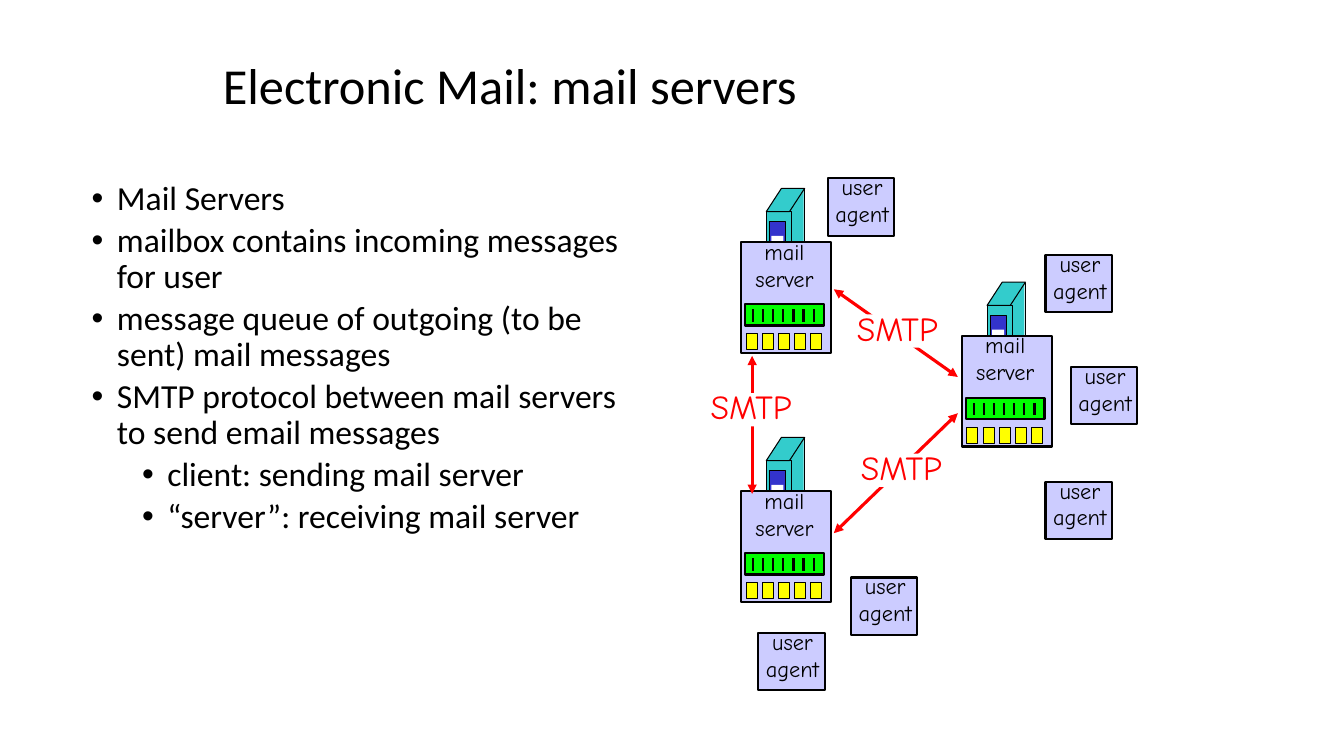
from dataclasses import dataclass

from lxml.etree import SubElement
from pptx import Presentation
from pptx.dml.color import RGBColor
from pptx.enum.shapes import MSO_CONNECTOR, MSO_SHAPE
from pptx.enum.text import MSO_ANCHOR, MSO_AUTO_SIZE, PP_ALIGN
from pptx.oxml.ns import qn
from pptx.util import Inches, Pt


@dataclass(frozen=True)
class Theme:
    text_font: str = "Calibri"
    diagram_font: str = "Comic Neue"
    title_size: int = 36
    body_size: int = 24
    protocol_size: int = 24
    caption_size: int = 16
    thin: float = 0.75
    medium: float = 1.5
    thick: float = 2.25
    black: str = "000000"
    white: str = "FFFFFF"
    red: str = "FF0000"
    box: str = "CCCCFF"
    tower: str = "33CCCC"
    door: str = "3333CC"
    queue: str = "00FF00"
    mailbox: str = "FFFF00"


TITLE = "Electronic Mail: mail servers"
BULLETS = [
    (0, "Mail Servers"),
    (0, "mailbox contains incoming messages for user"),
    (0, "message queue of outgoing (to be sent) mail messages"),
    (0, "SMTP protocol between mail servers to send email messages"),
    (1, "client: sending mail server"),
    (1, "“server”: receiving mail server"),
]
SERVERS = [(9.54, 3.33), (7.35, 4.87), (7.35, 2.4)]
USER_AGENTS = [(10.37, 2.53), (10.62, 3.64), (10.37, 4.78),
               (8.44, 5.73), (7.52, 6.28), (8.21, 1.77)]
SMTP_ARROWS = [((8.27, 2.87), (9.5, 3.74)),
               ((8.27, 5.29), (9.5, 4.1)),
               ((7.46, 4.9), (7.46, 3.53))]
SMTP_LABELS = [(8.47, 4.5), (8.43, 3.12), (6.98, 3.9)]


class SlideBuilder:
    def __init__(self, slide, theme):
        self.slide = slide
        self.theme = theme
        self.shapes = slide.shapes

    def start_group(self):
        """Send the following elements to a new group."""
        self.shapes = self.slide.shapes.add_group_shape().shapes

    def end_group(self):
        self.shapes = self.slide.shapes

    def add_run(self, paragraph, text, font, size, color):
        run = paragraph.add_run()
        run.text = text
        run.font.name = font
        run.font.size = Pt(size)
        run.font.color.rgb = RGBColor.from_string(color)

    def place(self, shape, left, top, width, height):
        shape.left, shape.top = Inches(left), Inches(top)
        shape.width, shape.height = Inches(width), Inches(height)

    def title(self, text):
        theme = self.theme
        title = self.slide.shapes.title
        self.place(title, 2.11, 0.25, 8.5, 1.25)
        title.text_frame.vertical_anchor = MSO_ANCHOR.MIDDLE
        paragraph = title.text_frame.paragraphs[0]
        paragraph.alignment = PP_ALIGN.LEFT
        paragraph.line_spacing = 0.9
        self.add_run(paragraph, text, theme.text_font, theme.title_size, theme.black)

    def bullets(self, items):
        theme = self.theme
        body = self.slide.placeholders[1]
        self.place(body, 0.81, 1.75, 5.74, 5.08)
        frame = body.text_frame
        frame.auto_size = MSO_AUTO_SIZE.NONE
        for index, (level, text) in enumerate(items):
            paragraph = frame.add_paragraph() if index else frame.paragraphs[0]
            paragraph.level = level
            properties = paragraph._p.get_or_add_pPr()
            properties.set("marL", str(Inches(0.25 + 0.5 * level)))
            properties.set("indent", str(Inches(-0.25)))
            SubElement(properties, qn("a:buFont"), typeface="Arial")
            SubElement(properties, qn("a:buChar"), char="•")
            paragraph.line_spacing = 0.9
            paragraph.space_before = Pt(4 if index else 0)
            self.add_run(paragraph, text, theme.text_font, theme.body_size, theme.black)

    def paint(self, shape, fill, line_width):
        shape.shadow.inherit = False
        shape.fill.solid()
        shape.fill.fore_color.rgb = RGBColor.from_string(fill)
        if line_width:
            shape.line.color.rgb = RGBColor.from_string(self.theme.black)
            shape.line.width = Pt(line_width)
        else:
            shape.line.fill.background()

    def rectangle(self, left, top, width, height, fill, line_width=0):
        shape = self.shapes.add_shape(MSO_SHAPE.RECTANGLE, Inches(left), Inches(top),
                                      Inches(width), Inches(height))
        self.paint(shape, fill, line_width)

    def polygon(self, points, fill, line_width):
        corners = [(Inches(x), Inches(y)) for x, y in points]
        builder = self.shapes.build_freeform(*corners[0])
        builder.add_line_segments(corners[1:], close=True)
        self.paint(builder.convert_to_shape(), fill, line_width)

    def line(self, start, end, color, width, arrowheads=False):
        connector = self.shapes.add_connector(
            MSO_CONNECTOR.STRAIGHT, *(Inches(value) for value in (*start, *end)))
        connector.line.color.rgb = RGBColor.from_string(color)
        connector.line.width = Pt(width)
        properties = connector.element.spPr
        if arrowheads:
            outline = properties.find(qn("a:ln"))
            for tag in ("a:headEnd", "a:tailEnd"):
                SubElement(outline, qn(tag), type="triangle")
        SubElement(properties, qn("a:effectLst"))

    def caption(self, left, top, width, height, lines, size, color):
        """Add centred diagram text without margins, one paragraph a line."""
        frame = self.shapes.add_textbox(Inches(left), Inches(top),
                                        Inches(width), Inches(height)).text_frame
        frame.margin_left = frame.margin_right = 0
        frame.margin_top = frame.margin_bottom = 0
        frame.word_wrap = False
        frame.auto_size = MSO_AUTO_SIZE.SHAPE_TO_FIT_TEXT
        for index, text in enumerate(lines):
            paragraph = frame.add_paragraph() if index else frame.paragraphs[0]
            paragraph.alignment = PP_ALIGN.CENTER
            self.add_run(paragraph, text, self.theme.diagram_font, size, color)

    def mail_server(self, x, y):
        """Draw a tower behind a box whose top left corner is (x, y)."""
        theme = self.theme
        self.start_group()
        self.rectangle(x + 0.44, y - 0.53, 0.18, 0.78, theme.tower)
        self.rectangle(x + 0.25, y - 0.3, 0.25, 0.78, theme.tower, theme.thin)
        self.polygon([(x + 0.4, y - 0.53), (x + 0.25, y - 0.3),
                      (x + 0.48, y - 0.3), (x + 0.63, y - 0.53)], theme.tower, theme.thin)
        self.line((x + 0.63, y - 0.52), (x + 0.63, y + 0.25), theme.black, theme.thin)
        self.rectangle(x + 0.28, y - 0.2, 0.16, 0.45, theme.door, theme.thin)
        self.rectangle(x + 0.3, y - 0.06, 0.12, 0.16, theme.white)
        self.rectangle(x, y, 0.89, 1.1, theme.box, theme.medium)
        self.caption(x + 0.09, y - 0.04, 0.68, 0.54, ["mail", "server"],
                     theme.caption_size, theme.black)
        self.rectangle(x + 0.04, y + 0.62, 0.78, 0.21, theme.queue, theme.medium)
        for slot in range(7):
            slot_x = x + 0.12 + 0.1 * slot
            self.line((slot_x, y + 0.67), (slot_x, y + 0.79), theme.black, theme.medium)
        for mailbox in range(5):
            self.rectangle(x + 0.05 + 0.16 * mailbox, y + 0.91, 0.11, 0.16,
                           theme.mailbox, theme.thin)
        self.end_group()

    def user_agent(self, x, y):
        theme = self.theme
        self.start_group()
        self.rectangle(x, y, 0.66, 0.57, theme.box, theme.medium)
        self.caption(x + 0.05, y - 0.05, 0.58, 0.54, ["user", "agent"],
                     theme.caption_size, theme.black)
        self.end_group()

    def smtp_label(self, x, y):
        theme = self.theme
        self.start_group()
        self.rectangle(x, y, 0.94, 0.33, theme.white)
        self.caption(x, y - 0.07, 0.94, 0.4, ["SMTP"], theme.protocol_size, theme.red)
        self.end_group()


def main():
    presentation = Presentation()
    presentation.slide_width, presentation.slide_height = Inches(13.33), Inches(7.5)
    theme = Theme()
    builder = SlideBuilder(presentation.slides.add_slide(presentation.slide_layouts[1]), theme)
    builder.title(TITLE)
    builder.bullets(BULLETS)
    for corner in SERVERS:
        builder.mail_server(*corner)
    for corner in USER_AGENTS:
        builder.user_agent(*corner)
    for start, end in SMTP_ARROWS:
        builder.line(start, end, theme.red, theme.thick, arrowheads=True)
    for corner in SMTP_LABELS:
        builder.smtp_label(*corner)
    presentation.save("out.pptx")


if __name__ == "__main__":
    main()
